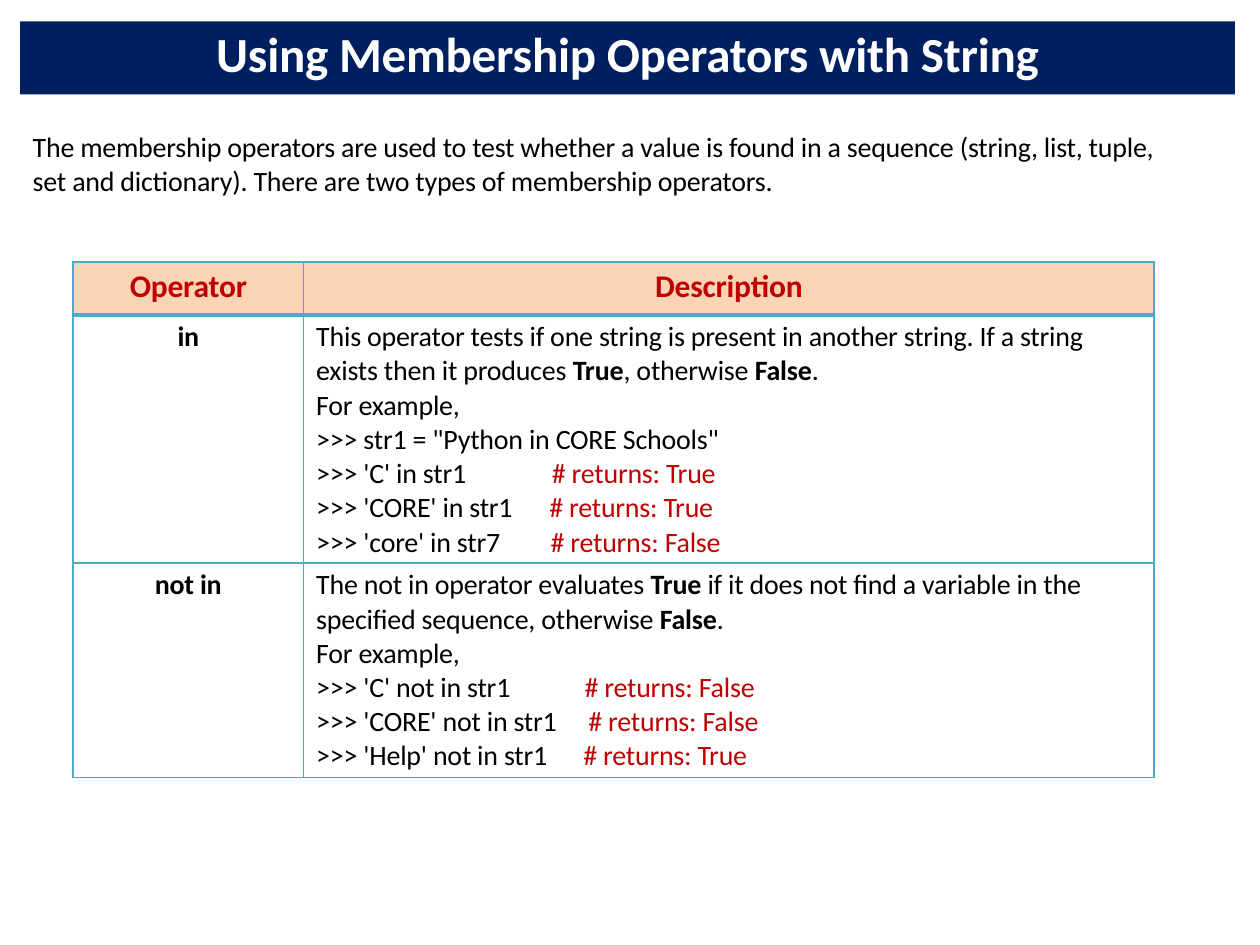
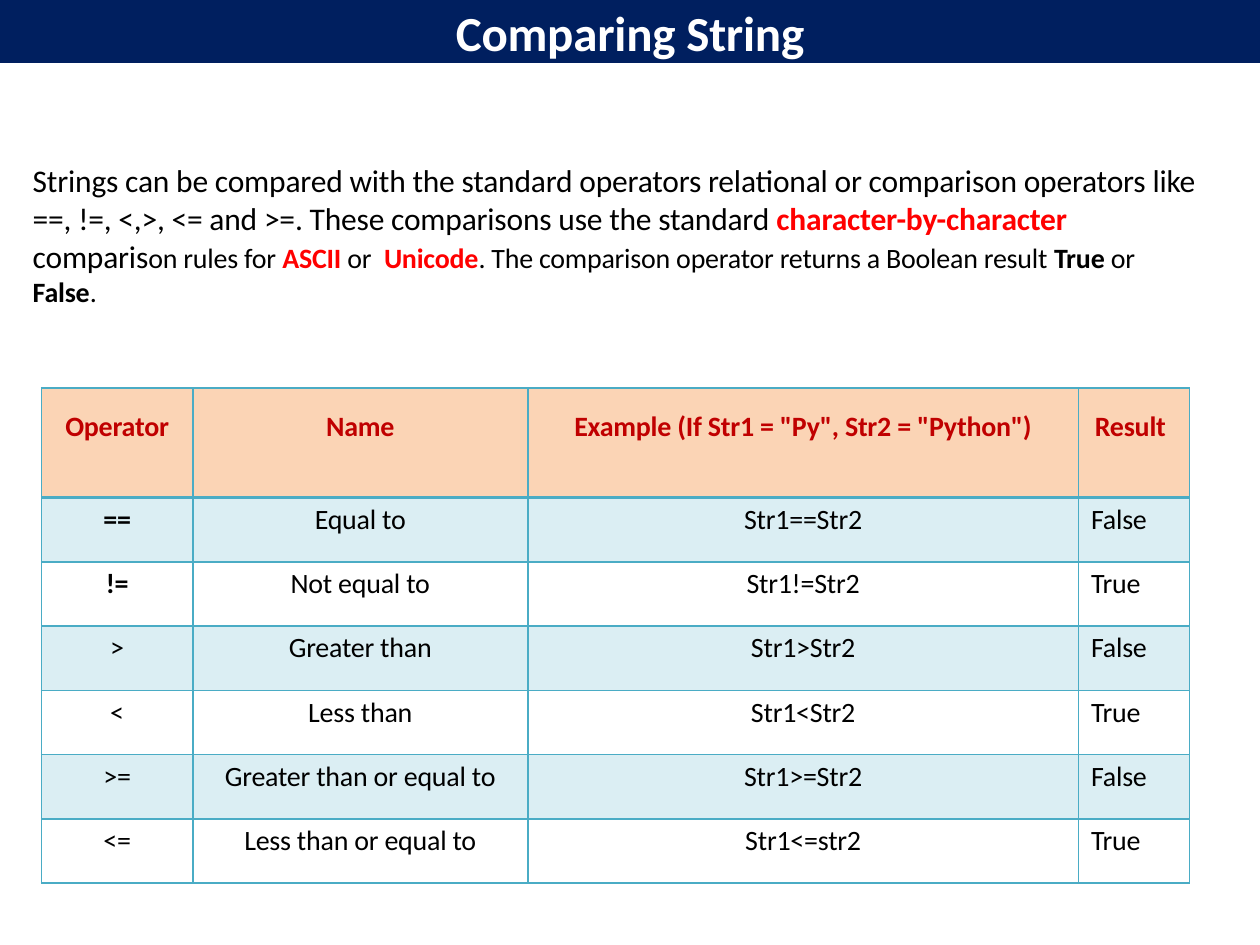
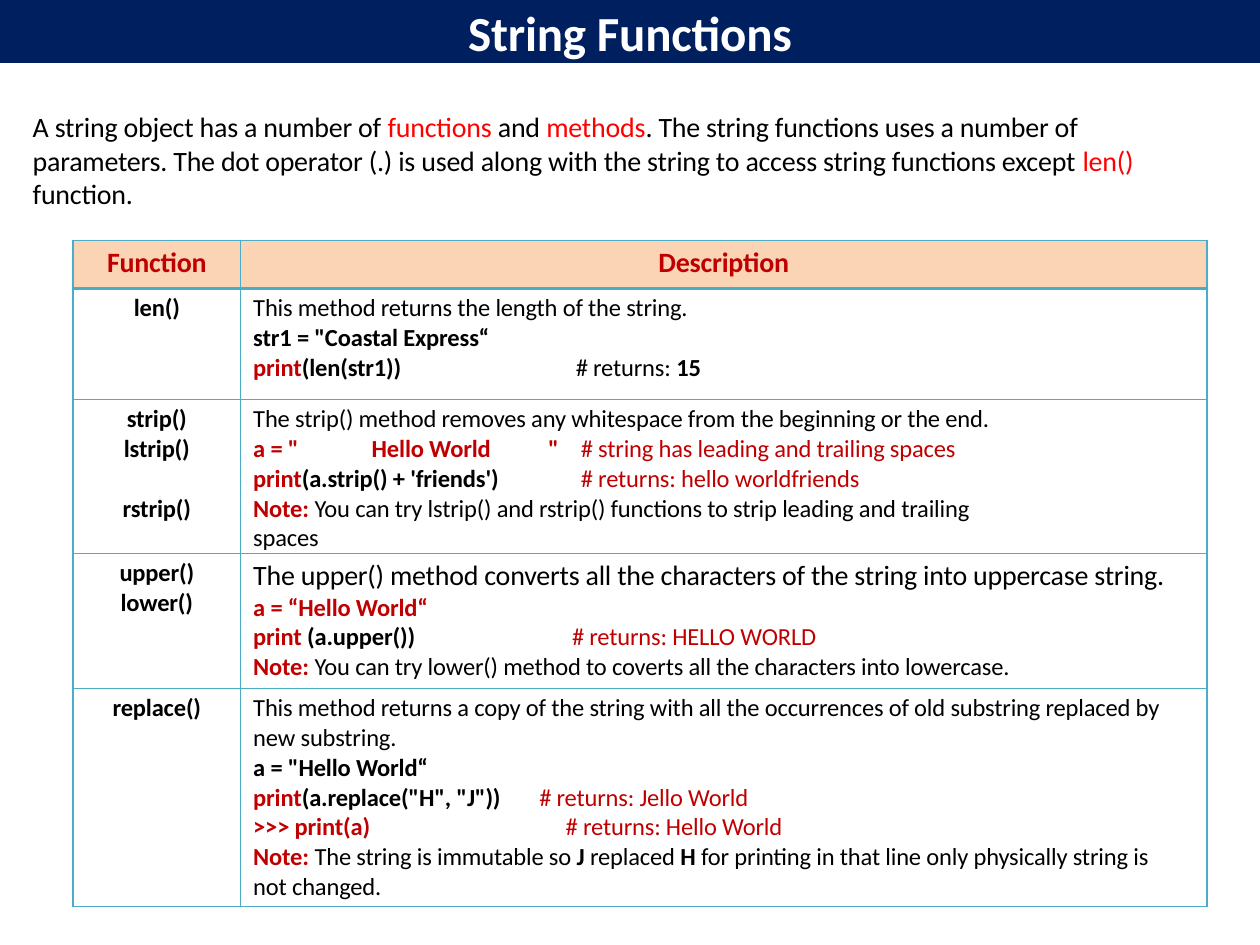
import pptx
import pptx.dml.color
import pptx.enum.text
import pptx.util
from lxml import etree
from pptx.oxml.ns import qn

Inches = pptx.util.Inches
Pt = pptx.util.Pt
ALIGN = pptx.enum.text.PP_ALIGN
TOP = pptx.enum.text.MSO_ANCHOR.TOP

FONT = "Calibri"
COLORS = {
    "navy": "001F5F",
    "white": "FFFFFF",
    "black": "000000",
    "dark": "C00000",
    "red": "FF0000",
    "peach": "FBD4B5",
    "tint": "DBEEF3",
    "rule": "4AACC5",
}
THIN, THICK = 1, 2.25


def rgb(name):
    return pptx.dml.color.RGBColor.from_string(COLORS[name])


def span(text, **form):
    """Text with its format: size, color, bold."""
    return text, form


def bold(text):
    return span(text, bold=True)


def dark(text):
    return span(text, color="dark")


def key(text):
    return span(text, color="dark", bold=True)


def red(text):
    return span(text, color="red")


def line(*spans, **form):
    """One paragraph: align, left, right, before, tabs, and defaults for its spans."""
    return spans, form


def mid(*spans, **form):
    return line(*spans, align=ALIGN.CENTER, **form)


def code(*spans, right=0.25, **form):
    return line(*spans, left=0.1, right=right, **form)


def add_span(para, text, size=16, color="black", bold=False):
    run = para.add_run()
    run.text = text
    font = run.font
    font.name, font.size, font.bold = FONT, Pt(size), bold
    font.color.rgb = rgb(color)
    run._r.get_or_add_rPr().set("spc", "-10")


def add_line(para, spans, align=ALIGN.LEFT, left=0, right=0, before=0, tabs=(), **base):
    para.alignment = align
    para.space_before = Pt(before)
    props = para._p.get_or_add_pPr()
    for name, size in (("marL", left), ("marR", right)):
        props.set(name, str(Inches(size)))
    if tabs:
        stops = etree.SubElement(props, qn("a:tabLst"))
        for stop in tabs:
            etree.SubElement(stops, qn("a:tab"), pos=str(Inches(stop)), algn="l")
    for item in spans:
        text, form = (item, {}) if isinstance(item, str) else item
        add_span(para, text, **{**base, **form})


def fill_text(frame, lines, **base):
    for i, (spans, form) in enumerate(lines):
        para = frame.add_paragraph() if i else frame.paragraphs[0]
        add_line(para, spans, **{**base, **form})


def set_frame(frame, top):
    frame.word_wrap = True
    frame.auto_size = pptx.enum.text.MSO_AUTO_SIZE.NONE
    frame.vertical_anchor = TOP
    frame.margin_left = frame.margin_right = frame.margin_bottom = 0
    frame.margin_top = Inches(top)


def place(shape, left, top, width, height):
    shape.left, shape.top = Inches(left), Inches(top)
    shape.width, shape.height = Inches(width), Inches(height)


def add_page(deck, text, box=(0, 0, 10, 0.5)):
    """Add a slide with its title on a navy band."""
    page = deck.slides.add_slide(deck.slide_layouts[5])
    title = page.shapes.title
    place(title, *box)
    title.fill.solid()
    title.fill.fore_color.rgb = rgb("navy")
    set_frame(title.text_frame, 0.02)
    fill_text(title.text_frame, [mid(text)], size=28, color="white", bold=True)
    return page


def add_intro(page, box, *spans, **form):
    frame = page.shapes.add_textbox(*map(Inches, box)).text_frame
    set_frame(frame, 0.01)
    fill_text(frame, [line(*spans, left=0.01, **form)])


def set_edges(cell, above, below):
    props = cell._tc.get_or_add_tcPr()
    widths = {"lnL": THIN, "lnR": THIN, "lnT": above, "lnB": below}
    for i, (tag, width) in enumerate(widths.items()):
        edge = etree.Element(qn("a:" + tag), w=str(Pt(width)))
        paint = etree.SubElement(edge, qn("a:solidFill"))
        etree.SubElement(paint, qn("a:srgbClr"), val=COLORS["rule"])
        props.insert(i, edge)


def add_grid(page, left, top, cols, heights, rows, head=16, size=16, inset=0.04, band=False):
    """Add a table; each cell of rows is a list of lines."""
    frame = page.shapes.add_table(
        len(rows), len(cols), Inches(left), Inches(top),
        Inches(sum(cols)), Inches(sum(heights)))
    grid = frame.table
    grid.horz_banding = False
    for col, width in zip(grid.columns, cols):
        col.width = Inches(width)
    for r, (row, height) in enumerate(zip(rows, heights)):
        grid.rows[r].height = Inches(height)
        for c, lines in enumerate(row):
            cell = grid.cell(r, c)
            cell.margin_left = cell.margin_right = cell.margin_bottom = 0
            cell.margin_top = Inches(0.04 if r else inset)
            cell.vertical_anchor = TOP
            shade = "tint" if band and r % 2 else None
            if r == 0:
                shade = "peach"
                fill_text(cell.text_frame, lines, size=head, color="dark", bold=True)
            else:
                fill_text(cell.text_frame, lines, size=size)
            if shade:
                cell.fill.solid()
                cell.fill.fore_color.rgb = rgb(shade)
            else:
                cell.fill.background()
            set_edges(cell, THICK if r == 1 else THIN, THIN if r else THICK)


def add_member(deck):
    page = add_page(deck, "Using Membership Operators with String", (0.16, 0.17, 9.64, 0.58))
    add_intro(
        page, (0.25, 1.02, 9.12, 0.56),
        "The membership operators are used to test whether a value is found in a sequence "
        "(string, list, tuple, set and dictionary). There are two types of membership operators.")

    def test(text, result, tab):
        return code(f">>> {text}\t", dark(f"# returns: {result}"), tabs=[tab])

    rows = [
        [[mid("Operator")], [mid("Description")]],
        [[mid(bold("in"))], [
            code("This operator tests if one string is present in another string. "
                 "If a string exists then it produces ", bold("True"), ", otherwise ",
                 bold("False"), "."),
            code("For example,"),
            code('>>> str1 = "Python in CORE Schools"'),
            test("'C' in str1", "True", 1.87),
            test("'CORE' in str1", "True", 1.85),
            test("'core' in str7", "False", 1.86)]],
        [[mid(bold("not in"))], [
            code("The not in operator evaluates ", bold("True "),
                 "if it does not find a variable in the specified sequence, otherwise ",
                 bold("False"), "."),
            code("For example,"),
            test("'C' not in str1", "False", 2.13),
            test("'CORE' not in str1", "False", 2.16),
            test("'Help' not in str1", "True", 2.12)]],
    ]
    add_grid(page, 0.58, 2.08, [1.83, 6.75], [0.42, 1.97, 1.7], rows, head=18)


def add_compare(deck):
    page = add_page(deck, "Comparing String")
    add_intro(
        page, (0.25, 1.27, 9.29, 1.19),
        span("Strings can be compared with the standard operators relational or comparison "
             "operators like ==, !=, <,>, <= and >=. These comparisons use the standard ", size=18),
        span("character-by-character ", size=18, color="red", bold=True),
        span("comparis", size=18), "on rules for ",
        span("ASCII ", color="red", bold=True), "or  ",
        span("Unicode", color="red", bold=True),
        ". The comparison operator returns a Boolean result ",
        bold("True "), "or ", bold("False"), ".")
    rows = [[[mid("Operator")], [mid("Name")],
             [mid('Example (If Str1 = "Py", Str2 = "Python")')],
             [line("Result", left=0.13)]]]
    tests = [
        ("==", "Equal to", "Str1==Str2", "False"),
        ("!=", "Not equal to", "Str1!=Str2", "True"),
        (">", "Greater than", "Str1>Str2", "False"),
        ("<", "Less than", "Str1<Str2", "True"),
        (">=", "Greater than or equal to", "Str1>=Str2", "False"),
        ("<=", "Less than or equal to", "Str1<=str2", "True"),
    ]
    for sign, name, sample, result in tests:
        rows.append([[mid(span(sign, bold=sign in ("==", "!=")))],
                     [mid(name)], [mid(sample)], [code(result)]])
    add_grid(page, 0.33, 3.08, [1.2, 2.66, 4.37, 0.88], [0.87] + [0.51] * len(tests),
             rows, inset=0.17, band=True)


def add_funcs(deck):
    page = add_page(deck, "String Functions")
    add_intro(
        page, (0.25, 0.86, 8.99, 0.83),
        "A string object has a number of ", red("functions"), " and ", red("methods"),
        ". The string functions uses a number of parameters. The dot operator (.) is used "
        "along with the string to access string functions except ", red("len()"), " function.")
    rows = [
        [[mid("Function")], [mid("Description")]],
        [[mid(bold("len()"))], [
            code("This method returns the length of the string."),
            code(bold('str1 = "Coastal Express“')),
            code(key("print"), bold("(len(str1))\t"), "# returns: ", bold("15"), tabs=[2.56])]],
        [[mid(bold("strip()")), mid(bold("lstrip()")), mid(bold("rstrip()"), before=17)], [
            code("The strip() method removes any whitespace from the beginning or the end."),
            code(key('a = "\tHello World\t"\t'),
                 dark("# string has leading and trailing spaces"), tabs=[0.94, 2.34, 2.6]),
            code(key("print"), bold("(a.strip() + 'friends')\t"),
                 dark("# returns: hello worldfriends"), tabs=[2.6]),
            code(key("Note: "), "You can try lstrip() and rstrip() functions to strip "
                 "leading and trailing spaces", right=1.6)]],
        [[mid(bold("upper()")), mid(bold("lower()"))], [
            code("The upper() method converts all the characters of the string into "
                 "uppercase string.", size=16),
            code(key("a = “Hello World“")),
            code(key("print "), bold("(a.upper())\t"), dark("# returns: HELLO WORLD"),
                 tabs=[2.53]),
            code(key("Note: "), "You can try lower() method to coverts all the characters "
                 "into lowercase.")]],
        [[mid(bold("replace()"))], [
            code("This method returns a copy of the string with all the occurrences of old "
                 "substring replaced by new substring."),
            code(bold('a = "Hello World“')),
            code(key("print"), bold('(a.replace("H", "J"))\t'),
                 dark("# returns: Jello World"), tabs=[2.27]),
            code(key(">>> print(a)\t"), dark("# returns: Hello World"), tabs=[2.48]),
            code(key("Note: "), "The string is immutable so ", bold("J "), "replaced ",
                 bold("H "), "for printing in that line only physically string is "
                 "not changed.")]],
    ]
    add_grid(page, 0.58, 1.91, [1.33, 7.67], [0.38, 0.88, 1.03, 1.07, 1.73], rows, size=14)


def main():
    deck = pptx.Presentation()
    deck.slide_width, deck.slide_height = Inches(10), Inches(7.5)
    add_member(deck)
    add_compare(deck)
    add_funcs(deck)
    deck.save("out.pptx")


if __name__ == "__main__":
    main()
